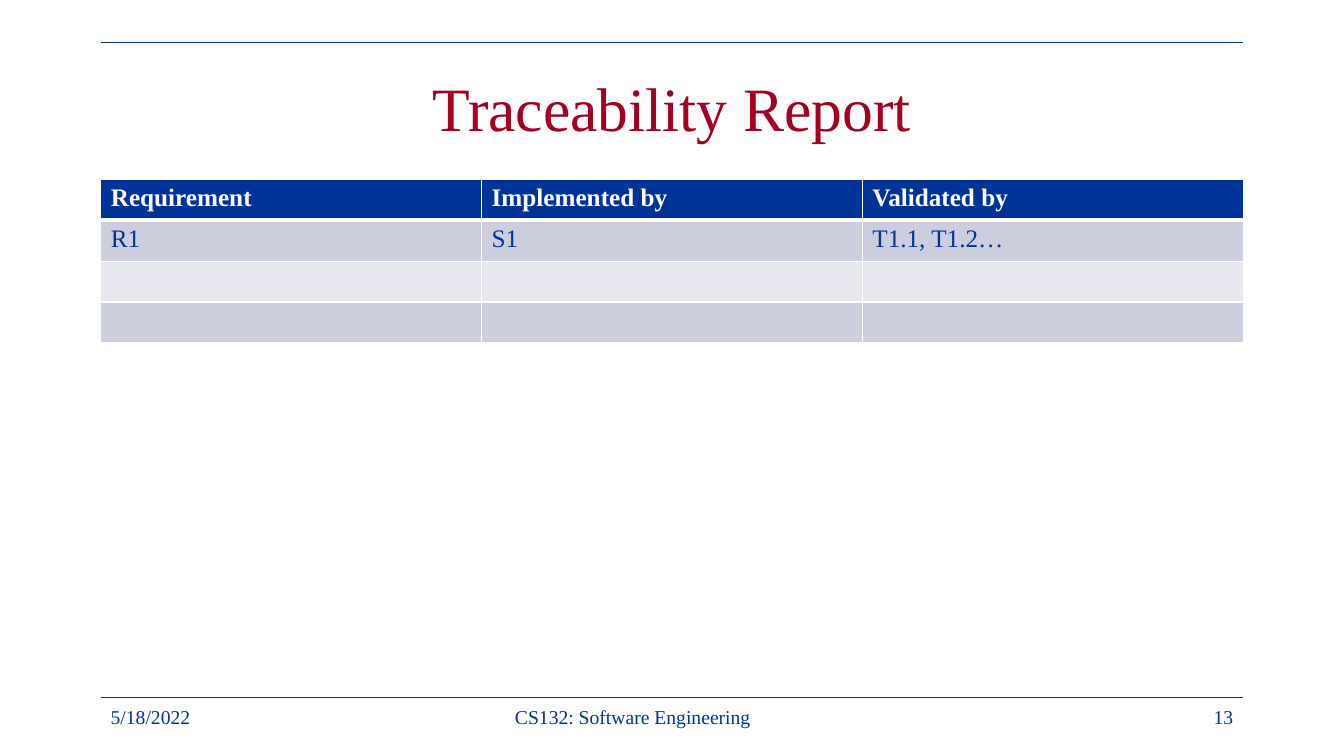
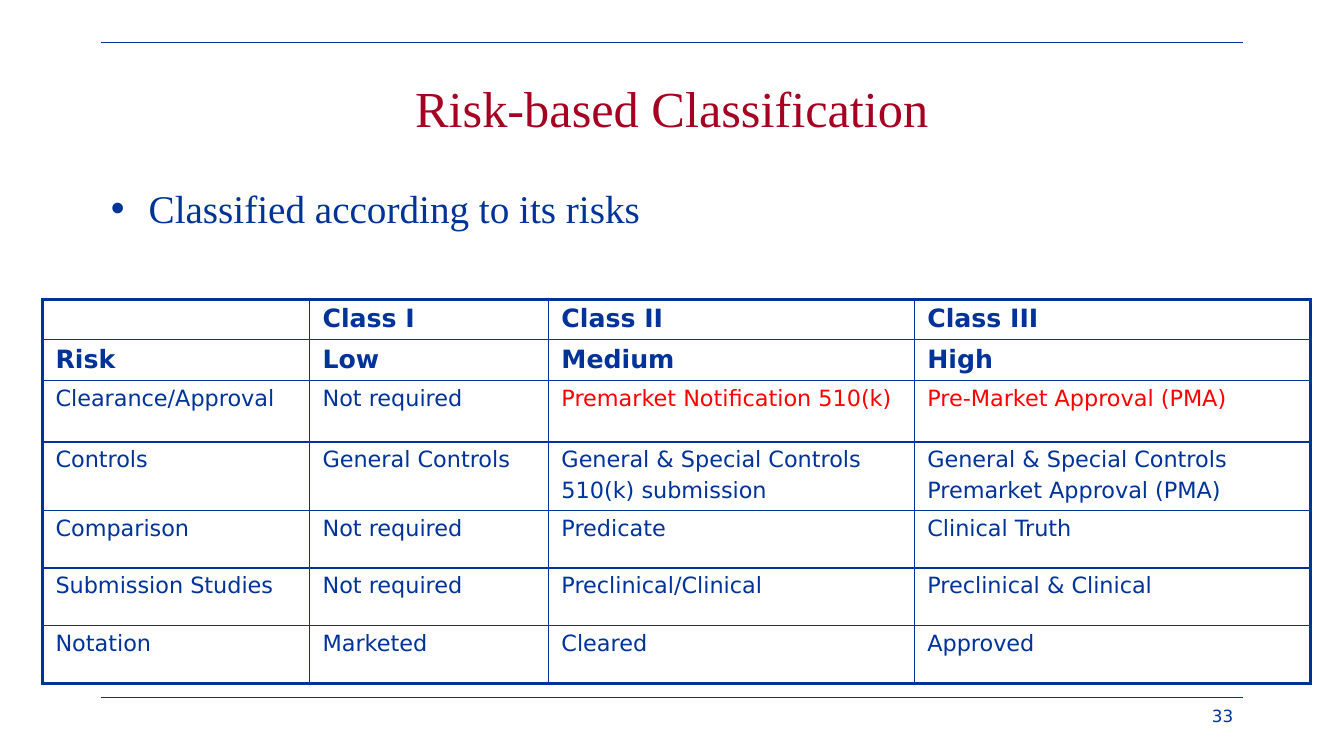
from lxml.etree import SubElement
from pptx import Presentation
from pptx.dml.color import RGBColor
from pptx.enum.shapes import MSO_CONNECTOR
from pptx.enum.text import MSO_ANCHOR, MSO_AUTO_SIZE, PP_ALIGN
from pptx.oxml import parse_xml
from pptx.oxml.ns import nsdecls, qn
from pptx.util import Cm, Pt

BLUE = RGBColor(0x00, 0x33, 0x99)
CRIMSON = RGBColor(0xA5, 0x00, 0x21)
RED = RGBColor(0xFF, 0x00, 0x00)
WHITE = RGBColor(0xFF, 0xFF, 0xFF)
BAND_DARK = RGBColor(0xCC, 0xCE, 0xDE)
BAND_LIGHT = RGBColor(0xE7, 0xE8, 0xEF)
SERIF = "Times New Roman"
SANS = "DejaVu Sans"

SLIDE_WIDTH, SLIDE_HEIGHT = 33.87, 19.05
MARGIN = 2.54
CONTENT_WIDTH = SLIDE_WIDTH - 2 * MARGIN
CONTENT_TOP = 4.52
RULE_HEIGHTS = (1.07, 17.58)
FOOTER_TOP, FOOTER_HEIGHT = 17.65, 0.99
SIDE_FOOTER_WIDTH, COURSE_WIDTH = 7.06, 11.58


def put_text(frame, text, size, font=SERIF, color=BLUE, bold=False,
             align=PP_ALIGN.LEFT, space_before=None):
    """Fill a text frame, one paragraph per line of text."""
    frame.word_wrap = True
    for index, line in enumerate(text.split("\n")):
        paragraph = frame.paragraphs[0] if index == 0 else frame.add_paragraph()
        paragraph.alignment = align
        if space_before is not None:
            paragraph.space_before = Pt(space_before)
        run = paragraph.add_run()
        run.text = line
        run.font.size = Pt(size)
        run.font.name = font
        run.font.bold = bold
        run.font.color.rgb = color


def set_borders(cell, color, widths):
    """Draw the left, right, top and bottom borders, widths in points."""
    properties = cell._tc.get_or_add_tcPr()
    for index, (side, width) in enumerate(zip("LRTB", widths)):
        properties.insert(index, parse_xml(
            f'<a:ln{side} {nsdecls("a")} w="{Pt(width)}"><a:solidFill>'
            f'<a:srgbClr val="{color}"/></a:solidFill></a:ln{side}>'))


class Deck:
    def __init__(self):
        self.presentation = Presentation()
        self.presentation.slide_width = Cm(SLIDE_WIDTH)
        self.presentation.slide_height = Cm(SLIDE_HEIGHT)
        self.slide = None

    def new_slide(self, title, title_size, has_body=False):
        layout = self.presentation.slide_layouts[1 if has_body else 5]
        self.slide = self.presentation.slides.add_slide(layout)
        for height in RULE_HEIGHTS:
            self.rule(height)
        frame = self.place(self.slide.shapes.title, 1.12, 3.17)
        frame.vertical_anchor = MSO_ANCHOR.MIDDLE
        put_text(frame, title, title_size, color=CRIMSON, align=PP_ALIGN.CENTER)

    def place(self, placeholder, top, height):
        """Move a placeholder into the content column; return its text frame."""
        placeholder.left, placeholder.top = Cm(MARGIN), Cm(top)
        placeholder.width, placeholder.height = Cm(CONTENT_WIDTH), Cm(height)
        placeholder.text_frame.auto_size = MSO_AUTO_SIZE.NONE
        return placeholder.text_frame

    def rule(self, height):
        line = self.slide.shapes.add_connector(
            MSO_CONNECTOR.STRAIGHT, Cm(MARGIN), Cm(height),
            Cm(MARGIN + CONTENT_WIDTH), Cm(height))
        line.line.color.rgb = BLUE
        line.line.width = Pt(0.75)
        SubElement(line._element.spPr, qn("a:effectLst"))

    def bullets(self, text):
        frame = self.place(self.slide.placeholders[1], CONTENT_TOP, 12.42)
        put_text(frame, text, 28)

    def footer(self, text, left, width, **style):
        box = self.slide.shapes.add_textbox(
            Cm(left), Cm(FOOTER_TOP), Cm(width), Cm(FOOTER_HEIGHT))
        put_text(box.text_frame, text, **style)

    def date(self, text):
        self.footer(text, MARGIN, SIDE_FOOTER_WIDTH, size=14)

    def course(self, text):
        self.footer(text, 10.16, COURSE_WIDTH, size=14, align=PP_ALIGN.CENTER)

    def number(self, text, **style):
        left = MARGIN + CONTENT_WIDTH - SIDE_FOOTER_WIDTH
        self.footer(text, left, SIDE_FOOTER_WIDTH, align=PP_ALIGN.RIGHT, **style)

    def table(self, rows, left, top, widths, heights, style_of, border,
              outer=1, header_rule=1, fills=None, insets=None):
        """Draw a table; style_of(row, column) gives the text format of a cell."""
        grid = self.slide.shapes.add_table(
            len(rows), len(widths), Cm(left), Cm(top),
            Cm(sum(widths)), Cm(sum(heights))).table
        grid.first_row = grid.horz_banding = False
        for column, width in zip(grid.columns, widths):
            column.width = Cm(width)
        for row, height in zip(grid.rows, heights):
            row.height = Cm(height)

        across = [outer, header_rule] + [1] * (len(rows) - 2) + [outer]
        down = [outer] + [1] * (len(widths) - 1) + [outer]
        for r, texts in enumerate(rows):
            for c, text in enumerate(texts):
                cell = grid.cell(r, c)
                if fills:
                    cell.fill.solid()
                    cell.fill.fore_color.rgb = fills[r]
                else:
                    cell.fill.background()
                if insets:
                    cell.margin_left = cell.margin_right = Cm(insets[0])
                    cell.margin_top = cell.margin_bottom = Cm(insets[1])
                if text:
                    put_text(cell.text_frame, text, **style_of(r, c))
                set_borders(cell, border,
                            (down[c], down[c + 1], across[r], across[r + 1]))


def traceability_style(row, column):
    header = row == 0
    return dict(size=18, bold=header, color=WHITE if header else BLUE)


def risk_style(row, column):
    header = row < 2
    size = 18 if header else 16
    premarket = row == 2 and column >= 2
    return dict(size=size, font=SANS, bold=header, space_before=size * 0.2,
                color=RED if premarket else BLUE)


def main():
    deck = Deck()

    deck.new_slide("Traceability Report", 44)
    deck.table(
        [("Requirement", "Implemented by", "Validated by"),
         ("R1", "S1", "T1.1, T1.2…"),
         ("", "", ""),
         ("", "", "")],
        MARGIN, CONTENT_TOP, [CONTENT_WIDTH / 3] * 3, [1.03] * 4,
        traceability_style, WHITE, header_rule=3,
        fills=(BLUE, BAND_DARK, BAND_LIGHT, BAND_DARK))
    deck.date("5/18/2022")
    deck.course("CS132: Software Engineering")
    deck.number("13", size=14)

    deck.new_slide("Risk-based Classification", 36, has_body=True)
    deck.bullets("Classified according to its risks")
    deck.number("33", size=12, font=SANS)
    deck.table(
        [("", "Class I", "Class II", "Class III"),
         ("Risk", "Low", "Medium", "High"),
         ("Clearance/Approval", "Not required",
          "Premarket Notification 510(k)", "Pre-Market Approval (PMA)"),
         ("Controls", "General Controls",
          "General & Special Controls\n510(k) submission",
          "General & Special Controls\nPremarket Approval (PMA)"),
         ("Comparison", "Not required", "Predicate", "Clinical Truth"),
         ("Submission Studies", "Not required",
          "Preclinical/Clinical", "Preclinical & Clinical"),
         ("Notation", "Marketed", "Cleared", "Approved")],
        1.07, 7.54, (6.73, 6.02, 9.22, 9.98),
        (1, 1, 1.55, 1.68, 1.45, 1.45, 1.45),
        risk_style, BLUE, outer=2.25, insets=(0.33, 0.13))

    deck.presentation.save("out.pptx")


if __name__ == "__main__":
    main()
